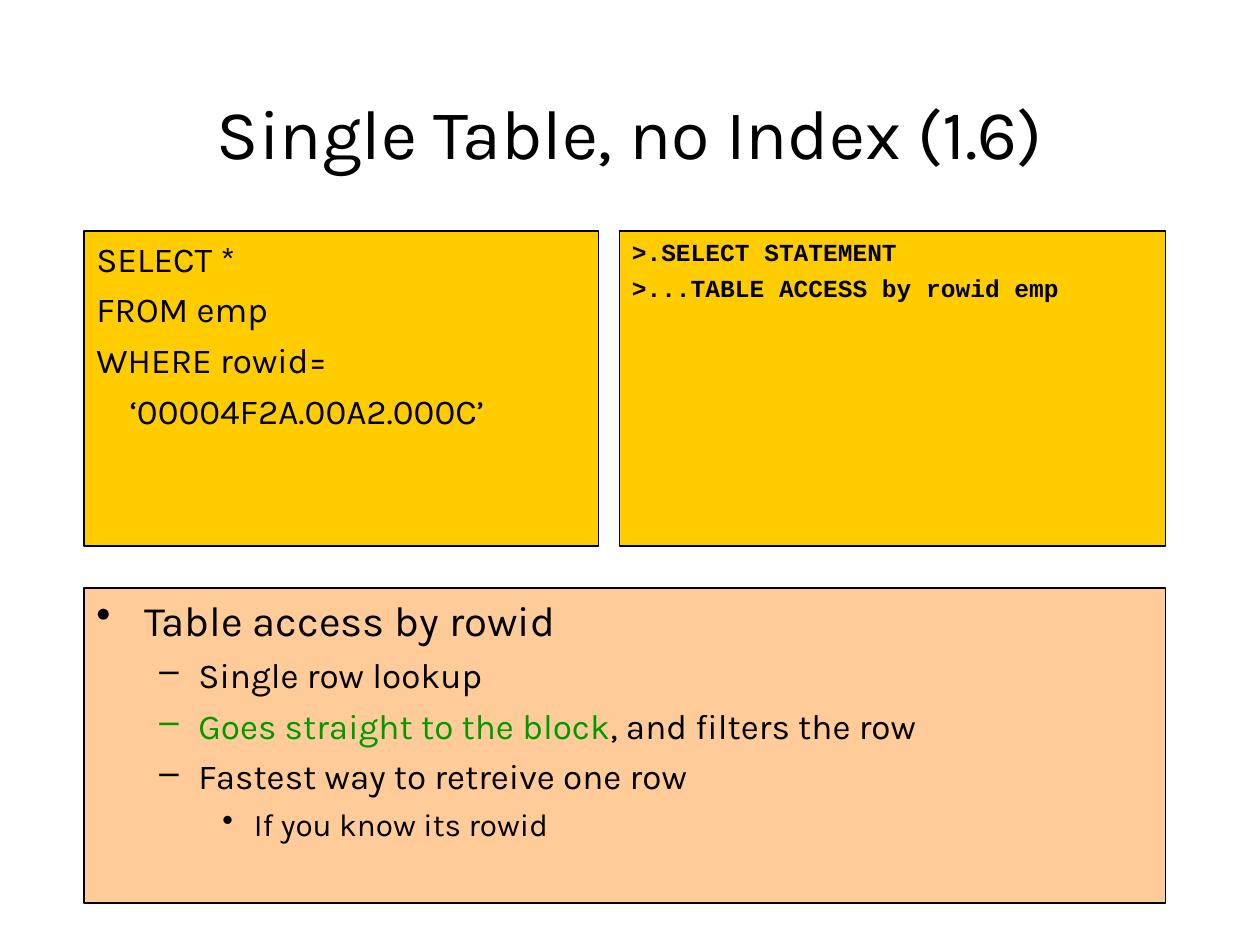
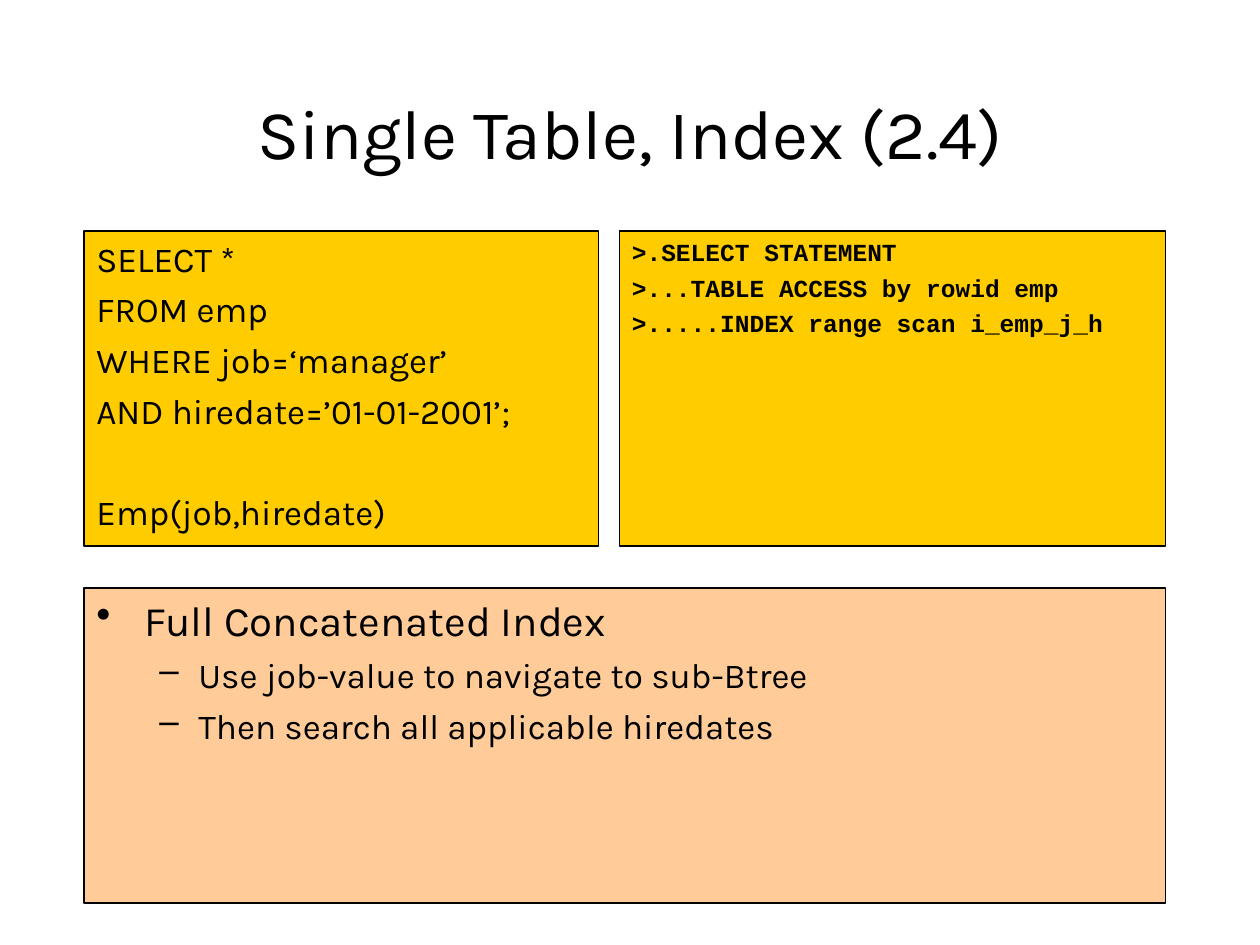
"""Build two slides that set SQL queries beside their execution plans."""
from typing import Any, NamedTuple

from lxml import etree
from pptx import Presentation
from pptx.dml import color
from pptx.enum import shapes, text
from pptx.oxml import ns
from pptx import util as u

WIDE, HIGH = u.Inches(10), u.Inches(7.5)
COLS, ROWS = 120, 90
BLACK, GOLD, PEACH, GREEN = "000000", "FFCC00", "FFCC99", "009900"


class Area(NamedTuple):
    """A block of grid cells."""
    col: int
    row: int
    cols: int
    rows: int


class Style(NamedTuple):
    """The look of one kind of paragraph."""
    size: int
    gap: float
    left: float = 0.38
    hang: float = 0.38
    mark: str = ""
    level: int = 0
    face: str = "Karla"
    bold: bool = False


class Line(NamedTuple):
    """A paragraph, with an optional green lead."""
    words: str
    style: Style
    lead: str = ""


class Page(NamedTuple):
    """The content of one slide."""
    title: str
    query: list[Line]
    plan: list[Line]
    notes: list[Line]


TITLE = Area(9, 8, 102, 9)
NOTES = Area(8, 56, 103, 30)
PLAN = Area(59, 22, 52, 30)
QUERY = Area(8, 22, 49, 30)

HEAD = Style(40, 0, 0, 0)
CODE = Style(20, 5)
APART = CODE._replace(gap=34)
STEP = Style(14, 3.5, face="Courier New", bold=True)
MAIN = Style(24, 6, mark="•")
SUB = Style(20, 5, 0.81, 0.31, "–", 1)
DEEP = Style(18, 4.5, 1.25, 0.25, "•", 2)

START = [Line("SELECT *", CODE), Line("FROM emp", CODE)]
STEPS = [Line(">.SELECT STATEMENT", STEP),
         Line(">...TABLE ACCESS by rowid emp", STEP)]

PAGES = [
    Page("Single Table, no Index (1.6)",
         START + [Line("WHERE rowid=", CODE),
                  Line("    ‘00004F2A.00A2.000C’", CODE)],
         STEPS,
         [Line("Table access by rowid", MAIN),
          Line("Single row lookup", SUB),
          Line(", and filters the row", SUB, "Goes straight to the block"),
          Line("Fastest way to retreive one row", SUB),
          Line("If you know its rowid", DEEP)]),
    Page("Single Table, Index (2.4)",
         START + [Line("WHERE job=‘manager’", CODE),
                  Line("AND hiredate=’01-01-2001’;", CODE),
                  Line("Emp(job,hiredate)", APART)],
         STEPS + [Line(">.....INDEX range scan i_emp_j_h", STEP)],
         [Line("Full Concatenated Index", MAIN),
          Line("Use job-value to navigate to sub-Btree", SUB),
          Line("Then search all applicable hiredates", SUB)]),
]


def shade(code: str) -> color.RGBColor:
    return color.RGBColor.from_string(code)


def apply(thing: Any, values: dict[str, Any]) -> None:
    for name, value in values.items():
        setattr(thing, name, value)


def place(area: Area) -> dict[str, int]:
    return {"left": WIDE * area.col // COLS, "top": HIGH * area.row // ROWS,
            "width": WIDE * area.cols // COLS, "height": HIGH * area.rows // ROWS}


def add_run(para: Any, words: str, style: Style, tint: str) -> None:
    run = para.add_run()
    run.text = words
    apply(run.font, {"size": u.Pt(style.size), "name": style.face, "bold": style.bold})
    run.font.color.rgb = shade(tint)


def indent(para: Any, style: Style, tint: str) -> None:
    props = para._p.get_or_add_pPr()
    props.set("marL", str(u.Inches(style.left)))
    props.set("indent", str(-u.Inches(style.hang)))
    if style.mark:
        paint = etree.SubElement(props, ns.qn("a:buClr"))
        etree.SubElement(paint, ns.qn("a:srgbClr"), val=tint)
        etree.SubElement(props, ns.qn("a:buChar"), char=style.mark)
    else:
        etree.SubElement(props, ns.qn("a:buNone"))


def write(frame: Any, lines: list[Line], align: Any, anchor: Any) -> None:
    apply(frame, {"word_wrap": True, "auto_size": text.MSO_AUTO_SIZE.NONE,
                  "vertical_anchor": anchor})
    for spot, (words, style, lead) in enumerate(lines):
        para = frame.add_paragraph() if spot else frame.paragraphs[0]
        indent(para, style, GREEN if lead else BLACK)
        apply(para, {"alignment": align, "level": style.level,
                     "space_before": u.Pt(style.gap if spot else 0)})
        if lead:
            add_run(para, lead, style, GREEN)
        add_run(para, words, style, BLACK)


def add_panel(slide: Any, area: Area, fill: str, lines: list[Line]) -> None:
    panel = slide.shapes.add_shape(shapes.MSO_SHAPE.RECTANGLE, **place(area))
    panel.shadow.inherit = False
    panel.fill.solid()
    panel.fill.fore_color.rgb = shade(fill)
    panel.line.color.rgb = shade(BLACK)
    panel.line.width = u.Pt(0.75)
    write(panel.text_frame, lines, text.PP_ALIGN.LEFT, text.MSO_ANCHOR.TOP)


def add_page(deck: Any, page: Page) -> None:
    slide = deck.slides.add_slide(deck.slide_layouts[5])
    title = slide.shapes.title
    apply(title, place(TITLE))
    write(title.text_frame, [Line(page.title, HEAD)],
          text.PP_ALIGN.CENTER, text.MSO_ANCHOR.MIDDLE)
    add_panel(slide, NOTES, PEACH, page.notes)
    add_panel(slide, PLAN, GOLD, page.plan)
    add_panel(slide, QUERY, GOLD, page.query)


def main() -> None:
    deck = Presentation()
    apply(deck, {"slide_width": WIDE, "slide_height": HIGH})
    for page in PAGES:
        add_page(deck, page)
    deck.save("out.pptx")


if __name__ == "__main__":
    main()
